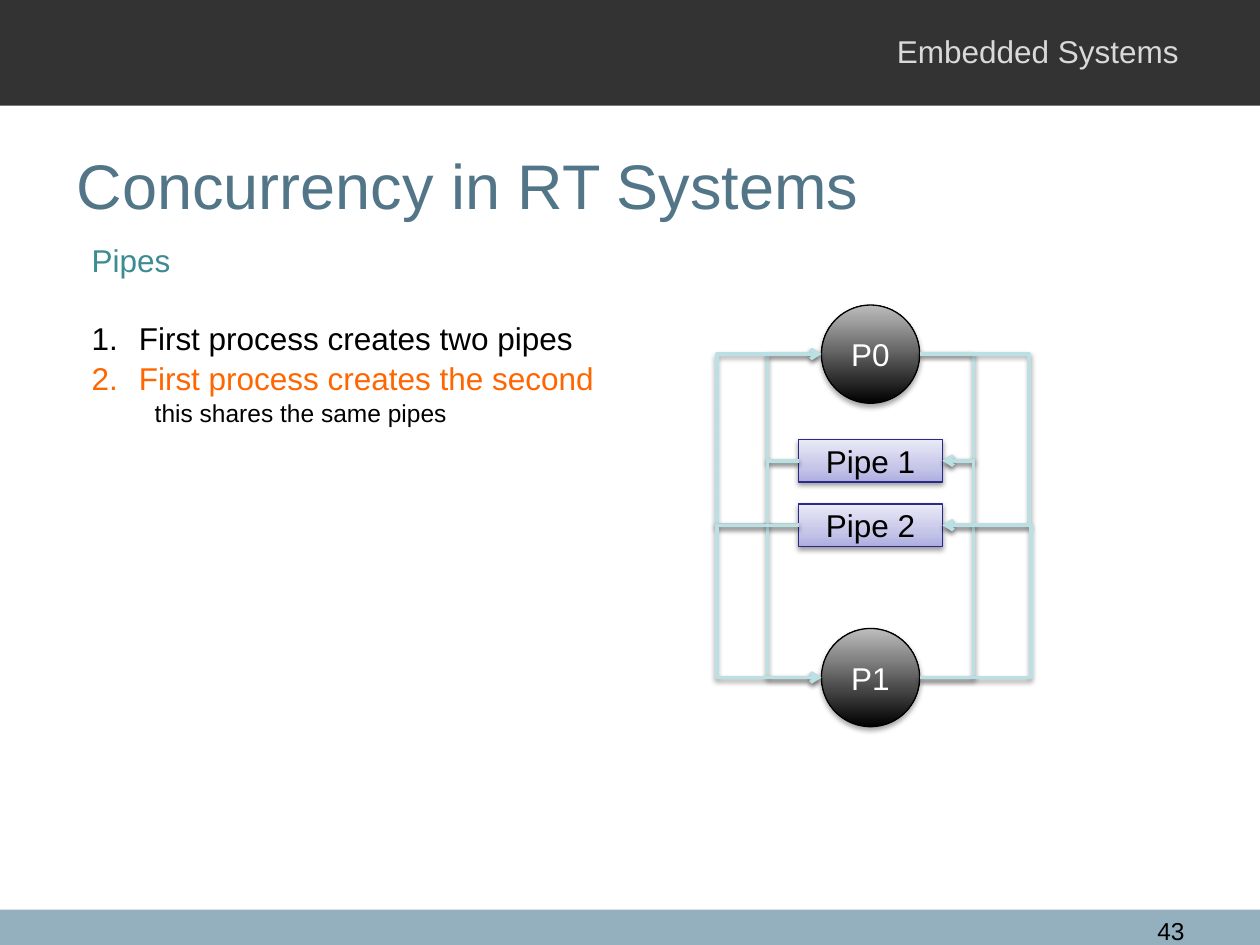
"""Build the slide on pipes between two concurrent processes."""
from lxml.etree import SubElement
from pptx import Presentation
from pptx.dml.color import RGBColor as RGB
from pptx.enum.shapes import MSO_CONNECTOR as CXN, MSO_SHAPE as SHAPE
from pptx.enum.text import MSO_ANCHOR as ANCHOR, PP_ALIGN as ALIGN
from pptx.oxml.ns import qn
from pptx.util import Cm, Pt

COLORS = {
    "bar": "333333", "footer": "94B0BE", "header": "D9D9D9", "title": "527688",
    "topic": "3C8C93", "text": "000000", "accent": "FF6600", "white": "FFFFFF",
    "pipe_line": "2A2A89", "wire": "BBE0E3",
}
PROCESS_STOPS = [(0, "000000"), (100, "BDBDBD")]
PIPE_STOPS = [(0, "ADADE1"), (35, "C6C6E9"), (100, "E9E9F7")]


class SlideBuilder:
    def __init__(self, slide, font="Arial"):
        self.slide = slide
        self.font = font

    def color(self, name):
        return RGB.from_string(COLORS[name])

    def run(self, p, text, size, color):
        r = p.add_run()
        r.text = text
        r.font.name = self.font
        r.font.size = Pt(size)
        r.font.color.rgb = self.color(color)

    def bar(self, top, height, color):
        s = self.slide.shapes.add_shape(SHAPE.RECTANGLE, 0, Cm(top), Cm(25.4), Cm(height))
        s.shadow.inherit = False
        s.fill.solid()
        s.fill.fore_color.rgb = self.color(color)
        s.line.fill.background()

    def frame(self, x, y, w, h, anchor=ANCHOR.TOP):
        tf = self.slide.shapes.add_textbox(Cm(x), Cm(y), Cm(w), Cm(h)).text_frame
        tf.word_wrap = True
        tf.vertical_anchor = anchor
        return tf

    def label(self, box, text, size, color, align=ALIGN.LEFT, anchor=ANCHOR.TOP):
        p = self.frame(*box, anchor).paragraphs[0]
        p.alignment = align
        self.run(p, text, size, color)

    def paragraph(self, p, text, size, color, margin=0, indent=0, numbered=False, after=0):
        p.line_spacing = 1.05
        p.space_after = Pt(after)
        pPr = p._p.get_or_add_pPr()
        pPr.set("marL", str(Cm(margin)))
        pPr.set("indent", str(Cm(indent)))
        if numbered:
            SubElement(pPr, qn("a:buFont"), typeface="+mj-lt")
            SubElement(pPr, qn("a:buAutoNum"), type="arabicPeriod")
        self.run(p, text, size, color)

    def shadow(self, s, alpha, dist):
        effects = SubElement(s._element.spPr, qn("a:effectLst"))
        outer = SubElement(effects, qn("a:outerShdw"), blurRad=str(Pt(3.1)),
                           dist=str(Pt(dist)), dir="5400000", rotWithShape="0")
        black = SubElement(outer, qn("a:srgbClr"), val="000000")
        SubElement(black, qn("a:alpha"), val=str(alpha * 1000))

    def node(self, kind, box, text, stops, line, color, alpha, dist):
        s = self.slide.shapes.add_shape(kind, *map(Cm, box))
        s.fill.gradient()
        s.fill.gradient_angle = 90
        gs_list = s._element.spPr.find(".//" + qn("a:gsLst"))
        gs_list.clear()
        for pos, value in stops:
            gs = SubElement(gs_list, qn("a:gs"), pos=str(pos * 1000))
            SubElement(gs, qn("a:srgbClr"), val=value)
        s.line.color.rgb = self.color(line)
        s.line.width = Pt(0.75)
        self.shadow(s, alpha, dist)
        tf = s.text_frame
        tf.word_wrap = False
        tf.vertical_anchor = ANCHOR.MIDDLE
        p = tf.paragraphs[0]
        p.alignment = ALIGN.CENTER
        self.run(p, text, 18, color)
        return s

    def process(self, y, text):
        return self.node(SHAPE.OVAL, (16.56, y, 1.98, 1.98), text,
                         PROCESS_STOPS, "text", "white", 35, 1.8)

    def pipe(self, y, text):
        return self.node(SHAPE.RECTANGLE, (16.1, y, 2.9, 0.86), text,
                         PIPE_STOPS, "pipe_line", "text", 38, 1.6)

    def wire(self, start, start_site, end, end_site, bus, right):
        x1, x2 = (s.left + s.width * right for s in (start, end))
        y1, y2 = (s.top + s.height // 2 for s in (start, end))
        c = self.slide.shapes.add_connector(CXN.ELBOW, x1, y1, x2, y2)
        joints = c._element.nvCxnSpPr.cNvCxnSpPr
        for tag, s, site in (("a:stCxn", start, start_site), ("a:endCxn", end, end_site)):
            SubElement(joints, qn(tag), id=str(s.shape_id), idx=str(site))
        guides = c._element.spPr.find(".//" + qn("a:prstGeom")).get_or_add_avLst()
        adj = round((Cm(bus) - x1) / (x2 - x1) * 100000)
        SubElement(guides, qn("a:gd"), name="adj1", fmla=f"val {adj}")
        c.line.color.rgb = self.color("wire")
        c.line.width = Pt(2)
        SubElement(c.line._get_or_add_ln(), qn("a:tailEnd"), type="arrow")
        self.shadow(c, 38, 1.6)


def main():
    prs = Presentation()
    prs.slide_width, prs.slide_height = Cm(25.4), Cm(19.05)
    b = SlideBuilder(prs.slides.add_slide(prs.slide_layouts[6]))

    b.bar(18.34, 0.71, "footer")
    b.bar(0, 2.13, "bar")
    b.label((17.83, 0.53, 6.35, 1.02), "Embedded Systems", 18, "header")
    b.label((1.3, 2.13, 22.86, 3.18), "Concurrency in RT Systems", 36, "title",
            anchor=ANCHOR.MIDDLE)
    b.label((22.5, 18.34, 1.63, 0.61), "43", 14, "text", align=ALIGN.RIGHT)

    tf = b.frame(1.6, 4.7, 21.29, 3.94)
    b.paragraph(tf.paragraphs[0], "Pipes", 18, "topic", after=21.7)
    for text, color in (("First process creates two pipes", "text"),
                        ("First process creates the second", "accent")):
        b.paragraph(tf.add_paragraph(), text, 18, color, 0.95, -0.95, numbered=True)
    b.paragraph(tf.add_paragraph(), "this shares the same pipes", 14, "text", 1.27)

    processes = [b.process(6.15, "P0"), b.process(12.67, "P1")]
    pipes = [b.pipe(8.86, "Pipe 1"), b.pipe(10.16, "Pipe 2")]
    right_buses = [(19.63, 20.75), (19.63, 20.78)]
    left_buses = (15.47, 14.45)
    for process, buses in zip(processes, right_buses):
        for pipe, bus in zip(pipes, buses):
            b.wire(process, 6, pipe, 3, bus, right=True)
        for pipe, bus in zip(pipes, left_buses):
            b.wire(pipe, 1, process, 2, bus, right=False)

    prs.save("out.pptx")


if __name__ == "__main__":
    main()
